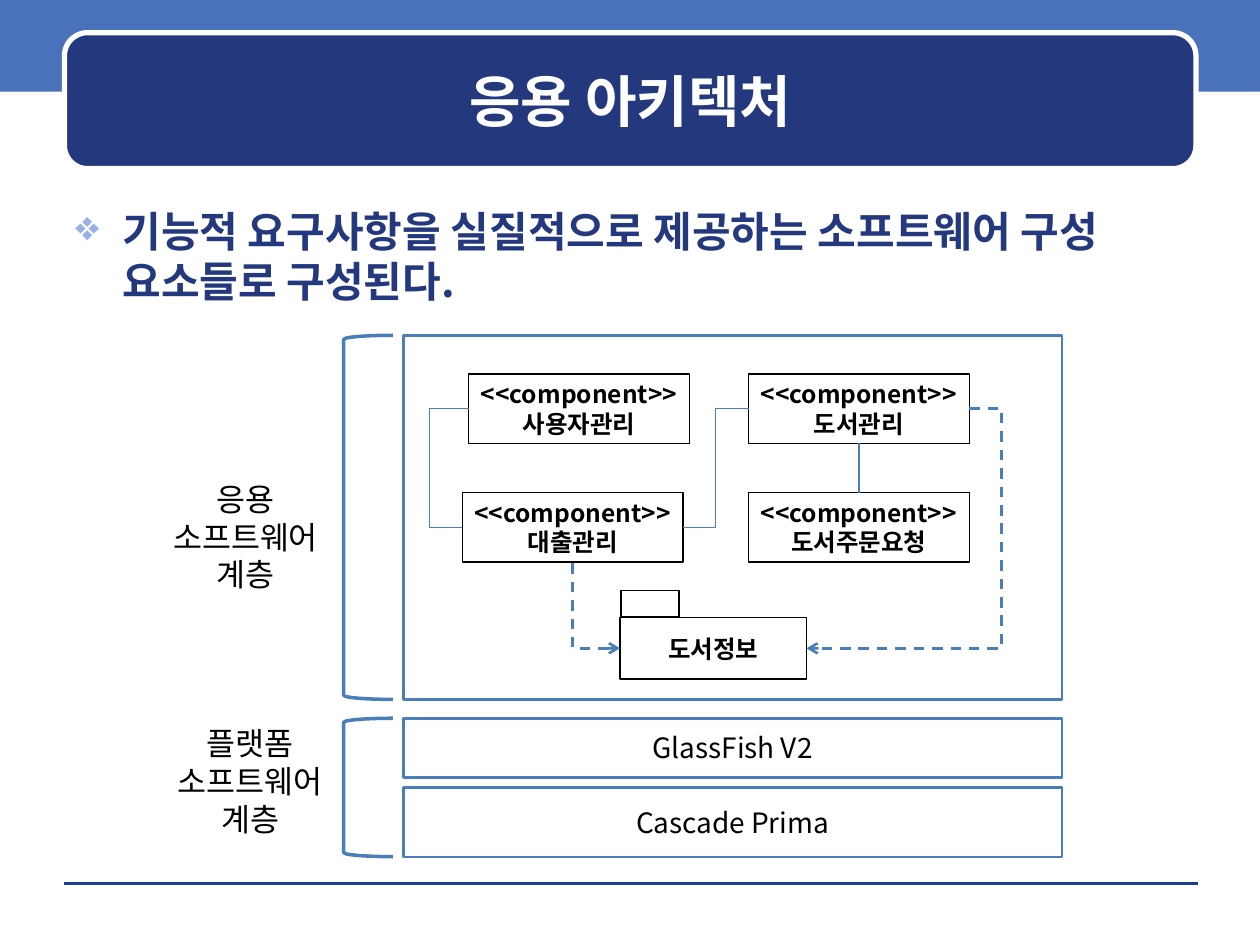
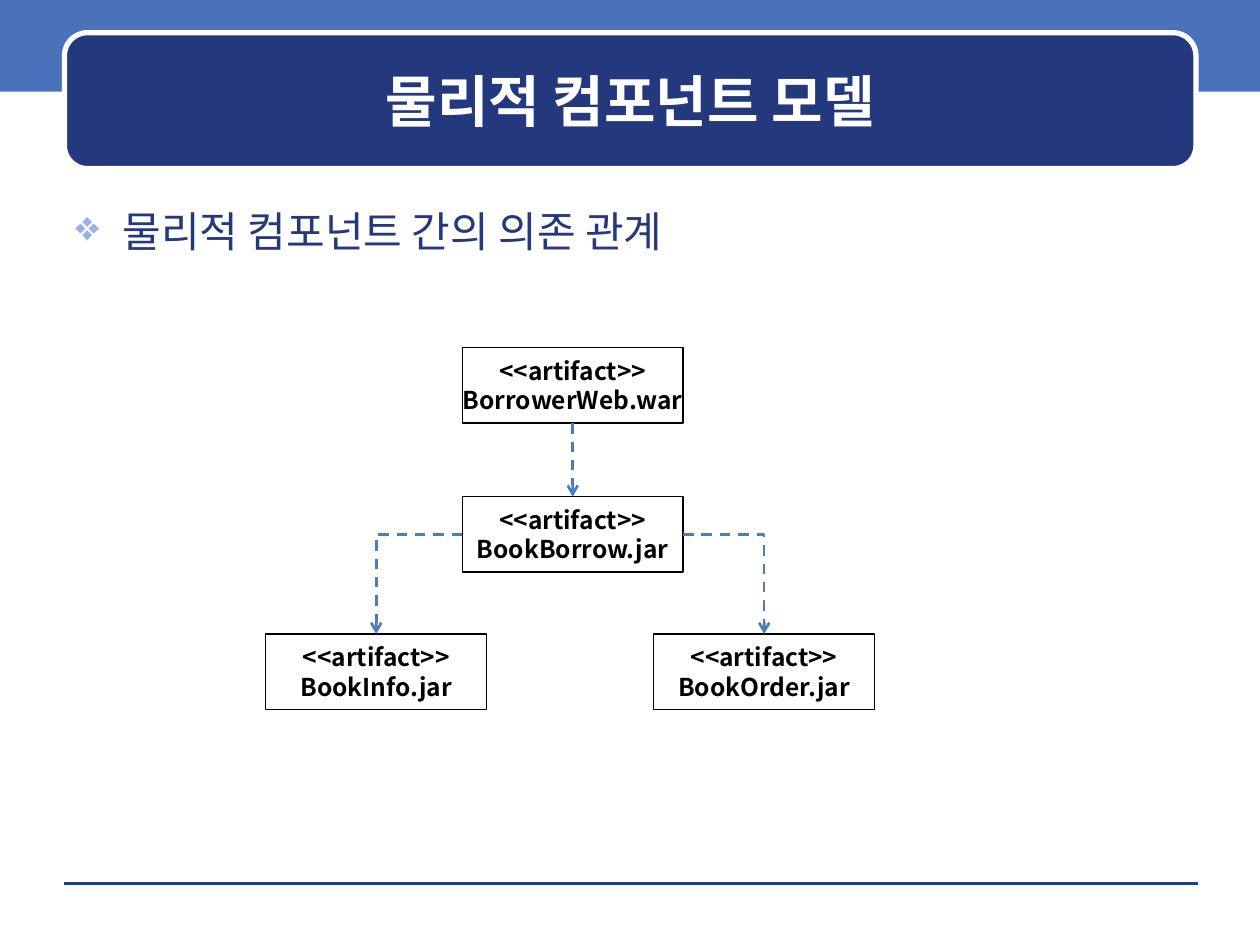
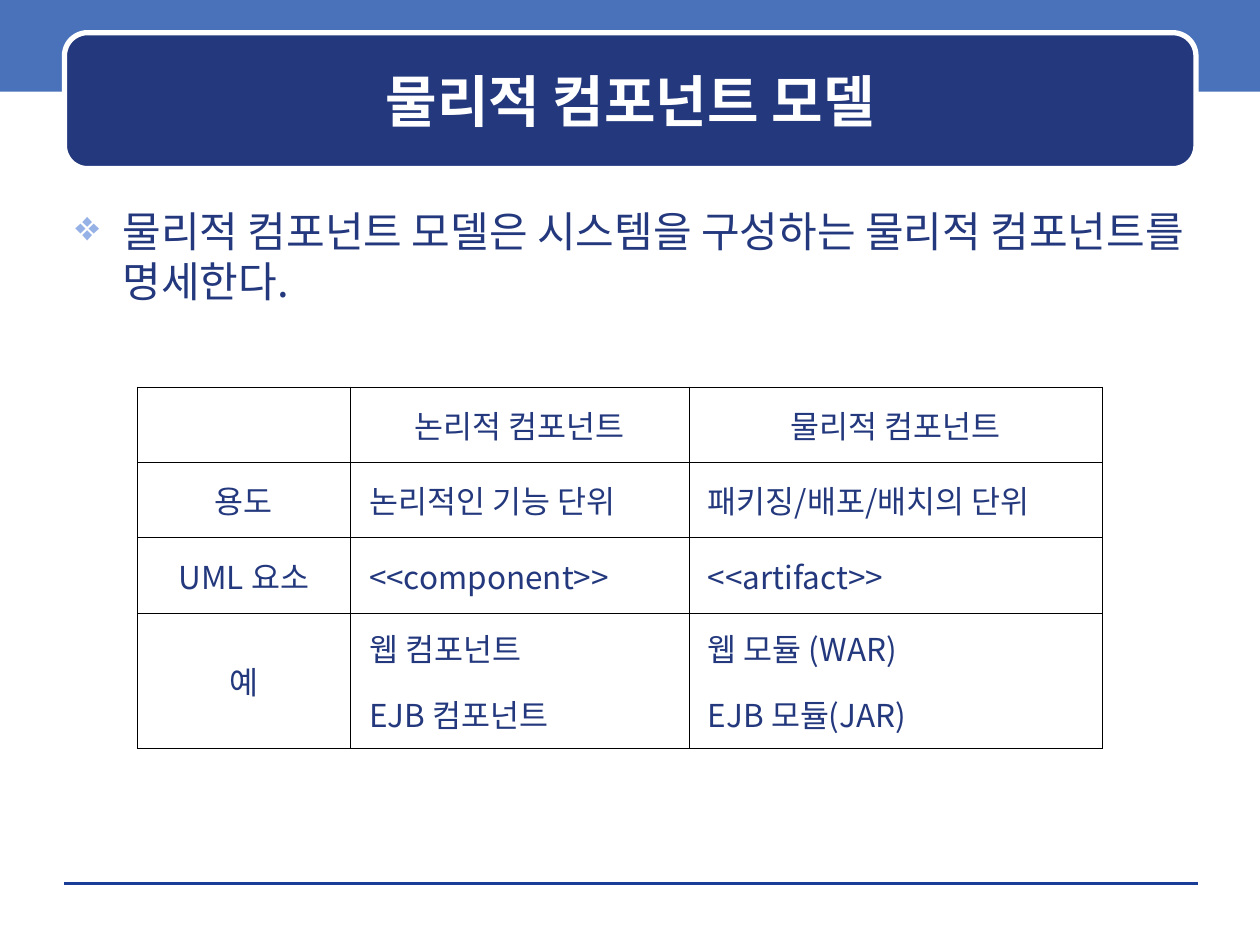
import pptx
import pptx.dml.color
import pptx.enum.dml
import pptx.enum.shapes
import pptx.enum.text
import pptx.oxml.ns
import pptx.util
from lxml import etree

Cm, Pt = pptx.util.Cm, pptx.util.Pt
SHAPE = pptx.enum.shapes.MSO_SHAPE
CONNECTOR = pptx.enum.shapes.MSO_CONNECTOR
ALIGN = pptx.enum.text.PP_ALIGN
ANCHOR = pptx.enum.text.MSO_ANCHOR
qn = pptx.oxml.ns.qn

FONT = "Noto Sans CJK KR"
NAVY, BLUE, BAND, RULE = "23387D", "4A7EBB", "4972BB", "1A3D97"
BULLET, WHITE, BLACK = "96B1E6", "FFFFFF", "000000"
TOP, LEFT, BOTTOM, RIGHT = range(4)


def rgb(value):
    """Turn a hex string into a colour."""
    return pptx.dml.color.RGBColor.from_string(value)


def set_format(target, values):
    """Set every attribute named in a dict of format values."""
    for name, value in values.items():
        setattr(target, name, value)


def add_xml(parent, tag, **attributes):
    """Append an element with the given attributes."""
    return etree.SubElement(parent, qn(tag), attributes)


class Deck:
    """Hold the presentation, its style and the current slide."""

    def __init__(self):
        """Open an empty presentation of the right size."""
        self.presentation = pptx.Presentation()
        set_format(self.presentation, {"slide_width": Cm(25.4), "slide_height": Cm(19.05)})
        self.slide = None

    def new_slide(self, title, statement, bold=False):
        """Start a slide with the shared band, rule, title panel and statement."""
        self.slide = self.presentation.slides.add_slide(self.presentation.slide_layouts[6])
        self.shape((0, -0.08, 25.4, 1.93), fill=BAND, line=None)
        rule = self.slide.shapes.add_connector(
            CONNECTOR.STRAIGHT, Cm(1.3), Cm(17.81), Cm(24.16), Cm(17.81))
        self.style_line(rule, RULE, 0)
        panel = self.shape((1.3, 0.66, 22.81, 2.74), SHAPE.ROUNDED_RECTANGLE, NAVY, WHITE, 3)
        panel.adjustments[0] = 0.17
        self.text((1.52, 0.89, 22.38, 2.24), title, 32, WHITE, bold=True,
                  align=ALIGN.CENTER, anchor=ANCHOR.MIDDLE)
        self.text((1.27, 4.01, 22.86, 13.54), statement, 24, NAVY, bold=bold, bullet=True)

    def fill_text(self, frame, text, size, color, bold=False, align=ALIGN.LEFT,
                  bullet=False, space_after=0):
        """Fill a text frame with one paragraph per line of text."""
        for index, line in enumerate(text.split("\n")):
            paragraph = frame.add_paragraph() if index else frame.paragraphs[0]
            set_format(paragraph, {"alignment": align, "space_after": Pt(space_after)})
            if bullet:
                properties = paragraph._p.get_or_add_pPr()
                properties.set("marL", str(Cm(0.95)))
                properties.set("indent", str(-Cm(0.95)))
                add_xml(add_xml(properties, "a:buClr"), "a:srgbClr", val=BULLET)
                add_xml(properties, "a:buChar", char="❖")
            run = paragraph.add_run()
            run.text = line
            set_format(run.font, {"name": FONT, "size": Pt(size), "bold": bold})
            run.font.color.rgb = rgb(color)
            add_xml(run._r.get_or_add_rPr(), "a:ea", typeface=FONT)

    def text(self, box, text, size, color, wrap=True, anchor=ANCHOR.TOP, **style):
        """Add a text box."""
        frame = self.slide.shapes.add_textbox(*map(Cm, box)).text_frame
        set_format(frame, {"word_wrap": wrap, "vertical_anchor": anchor})
        self.fill_text(frame, text, size, color, **style)

    def shape(self, box, kind=SHAPE.RECTANGLE, fill=None, line=BLACK, width=0.75):
        """Add a preset shape; no colour means no fill or no line."""
        shape = self.slide.shapes.add_shape(kind, *map(Cm, box))
        shape.shadow.inherit = False
        for part, color in ((shape.fill, fill), (shape.line.fill, line)):
            if color:
                part.solid()
                part.fore_color.rgb = rgb(color)
            else:
                part.background()
        if line:
            shape.line.width = Pt(width)
        return shape

    def box(self, box, text, size=14, bold=True, line=BLACK, width=0.75):
        """Add an outlined rectangle with centred black text."""
        shape = self.shape(box, line=line, width=width)
        set_format(shape.text_frame, {"word_wrap": False, "vertical_anchor": ANCHOR.MIDDLE,
                                      "margin_left": 0, "margin_right": 0})
        self.fill_text(shape.text_frame, text, size, BLACK, bold, ALIGN.CENTER)
        return shape

    def style_line(self, connector, color, width):
        """Give a connector its colour and width and take off its shadow."""
        connector.line.color.rgb = rgb(color)
        connector.line.width = Pt(width)
        add_xml(connector._element.spPr, "a:effectLst")

    def link(self, begin, begin_site, end, end_site, preset="line", bend=None, arrow=None):
        """Connect two shapes; an arrow (headEnd or tailEnd) makes the line dashed."""
        kind = CONNECTOR.STRAIGHT if preset == "line" else CONNECTOR.ELBOW
        connector = self.slide.shapes.add_connector(kind, 0, 0, 0, 0)
        connector.begin_connect(begin, begin_site)
        connector.end_connect(end, end_site)
        geometry = connector._element.spPr.find(qn("a:prstGeom"))
        geometry.set("prst", preset)
        if bend is not None:
            add_xml(geometry.find(qn("a:avLst")), "a:gd", name="adj1",
                    fmla=f"val {round(bend * 100000)}")
        self.style_line(connector, BLUE, 1.5 if arrow else 0.75)
        if arrow:
            connector.line.dash_style = pptx.enum.dml.MSO_LINE.DASH
            add_xml(connector.line._get_or_add_ln(), f"a:{arrow}", type="arrow")

    def table(self, left, top, widths, heights, rows):
        """Add a plain grid whose header row and first column are centred."""
        size = map(Cm, (left, top, sum(widths), sum(heights)))
        table = self.slide.shapes.add_table(len(rows), len(widths), *size).table
        set_format(table, {"first_row": False, "horz_banding": False})
        for column, width in zip(table.columns, widths):
            column.width = Cm(width)
        for row_index, (row, height, texts) in enumerate(zip(table.rows, heights, rows)):
            row.height = Cm(height)
            for column_index, (cell, text) in enumerate(zip(row.cells, texts)):
                set_format(cell, {"vertical_anchor": ANCHOR.MIDDLE,
                                  "margin_left": Cm(0.38), "margin_right": Cm(0.38)})
                for side in ("lnL", "lnR", "lnT", "lnB"):
                    border = add_xml(cell._tc.get_or_add_tcPr(), f"a:{side}", w=str(Pt(0.45)))
                    add_xml(add_xml(border, "a:solidFill"), "a:srgbClr", val=BLACK)
                cell.fill.background()
                if text:
                    centred = row_index == 0 or column_index == 0
                    self.fill_text(cell.text_frame, text, 18, NAVY, space_after=12,
                                   align=ALIGN.CENTER if centred else ALIGN.JUSTIFY)


def application_architecture(deck):
    """Build the slide of software layers."""
    deck.new_slide("응용 아키텍처",
                   "기능적 요구사항을 실질적으로 제공하는 소프트웨어 구성 요소들로 구성된다.", bold=True)
    layers = (("응용", 6.76, 7.34, (2.97, 9.55, 3.96, 2.54)),
              ("플랫폼", 14.48, 2.79, (3.33, 14.48, 3.43, 2.54)))
    for name, top, height, label in layers:
        deck.shape((6.93, top, 0.99, height), SHAPE.LEFT_BRACKET, line=BLUE, width=2)
        deck.text(label, f"{name}\n소프트웨어\n계층", 18, BLACK, wrap=False, align=ALIGN.CENTER)
    deck.shape((8.13, 6.76, 13.28, 7.34), line=BLUE, width=1.5)
    for name, top, height in (("GlassFish V2", 14.48, 1.19), ("Cascade Prima", 15.88, 1.4)):
        deck.box((8.13, top, 13.28, height), name, 16, False, BLUE, 1.5)

    components = (("사용자관리", 9.45, 7.54), ("도서관리", 15.09, 7.54),
                  ("대출관리", 9.32, 9.93), ("도서주문요청", 15.09, 9.93))
    users, books, loans, orders = [
        deck.box((left, top, 4.45, 1.4), f"<<component>>\n{name}")
        for name, left, top in components]
    book_data = deck.box((12.5, 12.45, 3.76, 1.24), "도서정보")
    deck.shape((12.52, 11.91, 1.17, 0.53))

    deck.link(users, LEFT, loans, LEFT, "bentConnector3", 6.1)
    deck.link(books, BOTTOM, orders, TOP)
    deck.link(loans, RIGHT, books, LEFT, "bentConnector3", 0.5)
    deck.link(book_data, LEFT, loans, BOTTOM, "bentConnector2", arrow="headEnd")
    deck.link(books, RIGHT, book_data, RIGHT, "bentConnector3", -0.2, "tailEnd")


def artifact_dependencies(deck):
    """Build the slide of dependencies between artifacts."""
    deck.new_slide("물리적 컴포넌트 모델", "물리적 컴포넌트 간의 의존 관계")
    artifacts = (("BorrowerWeb.war", 9.32, 7.01), ("BookBorrow.jar", 9.32, 10.01),
                 ("BookOrder.jar", 13.18, 12.78), ("BookInfo.jar", 5.36, 12.78))
    web, borrow, order, info = [
        deck.box((left, top, 4.45, 1.52), f"<<artifact>>\n{name}")
        for name, left, top in artifacts]
    deck.link(web, BOTTOM, borrow, TOP, arrow="tailEnd")
    deck.link(borrow, LEFT, info, TOP, "bentConnector2", arrow="tailEnd")
    deck.link(borrow, RIGHT, order, TOP, "bentConnector2", arrow="tailEnd")


def component_comparison(deck):
    """Build the slide comparing logical and physical components."""
    deck.new_slide("물리적 컴포넌트 모델",
                   "물리적 컴포넌트 모델은 시스템을 구성하는 물리적 컴포넌트를 명세한다.")
    deck.table(2.77, 7.8, (4.29, 6.83, 8.33), (1.52, 1.52, 1.52, 2.72), (
        ("", "논리적 컴포넌트", "물리적 컴포넌트"),
        ("용도", "논리적인 기능 단위", "패키징/배포/배치의 단위"),
        ("UML 요소", "<<component>>", "<<artifact>>"),
        ("예", "웹 컴포넌트\nEJB 컴포넌트", "웹 모듈 (WAR)\nEJB 모듈(JAR)")))


def main():
    """Build the slides and save them."""
    deck = Deck()
    application_architecture(deck)
    artifact_dependencies(deck)
    component_comparison(deck)
    deck.presentation.save("out.pptx")


if __name__ == "__main__":
    main()
